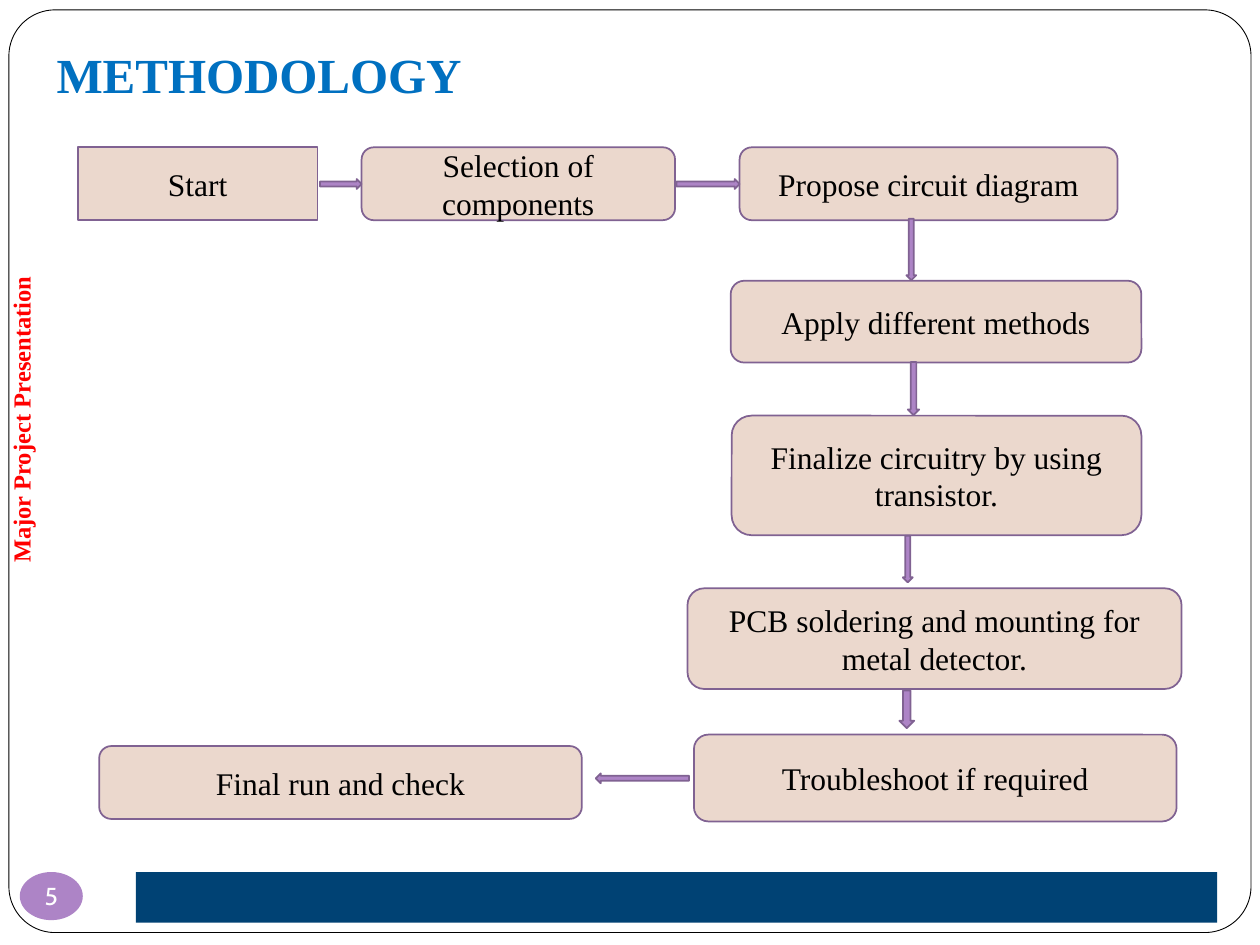
from pptx import Presentation
from pptx.dml.color import RGBColor
from pptx.enum.shapes import MSO_SHAPE
from pptx.enum.text import MSO_ANCHOR, PP_ALIGN
from pptx.util import Cm, Pt

WHITE = RGBColor(0xFF, 0xFF, 0xFF)
BLACK = RGBColor(0x00, 0x00, 0x00)
RED = RGBColor(0xFF, 0x00, 0x00)
BLUE = RGBColor(0x00, 0x70, 0xC0)
NAVY = RGBColor(0x00, 0x42, 0x74)
SAND = RGBColor(0xEB, 0xD8, 0xCD)
PURPLE = RGBColor(0xAD, 0x84, 0xC6)
PLUM = RGBColor(0x80, 0x62, 0x92)

SERIF = "Times New Roman"
TITLE_FONT = {"name": SERIF, "size": Pt(28), "bold": True}
SIDE_FONT = {"name": SERIF, "size": Pt(14), "bold": True}
STEP_FONT = {"name": SERIF, "size": Pt(18)}
NUMBER_FONT = {"name": "Cabin", "size": Pt(14)}

STEPS = [
    ("Start", MSO_SHAPE.RECTANGLE, (0, 0, 4.83, 1.47)),
    ("Selection of components", MSO_SHAPE.ROUNDED_RECTANGLE, (5.72, 0, 6.32, 1.47)),
    ("Propose circuit diagram", MSO_SHAPE.ROUNDED_RECTANGLE, (13.34, 0, 7.62, 1.47)),
    ("Apply different methods", MSO_SHAPE.ROUNDED_RECTANGLE, (13.16, 2.69, 8.28, 1.65)),
    ("Finalize circuitry by using transistor.", MSO_SHAPE.ROUNDED_RECTANGLE,
     (13.18, 5.41, 8.26, 2.41)),
    ("PCB soldering and mounting for metal detector.", MSO_SHAPE.ROUNDED_RECTANGLE,
     (12.29, 8.89, 9.96, 2.03)),
    ("Troubleshoot if required", MSO_SHAPE.ROUNDED_RECTANGLE, (12.42, 11.84, 9.73, 1.75)),
    ("Final run and check", MSO_SHAPE.ROUNDED_RECTANGLE, (0.43, 12.07, 9.73, 1.47)),
]
ARROWS = [
    (0, (4.88, 0.64, 0.84, 0.2)),
    (0, (12.07, 0.64, 1.27, 0.2)),
    (90, (16.18, 1.96, 1.24, 0.2)),
    (90, (16.31, 4.75, 1.07, 0.23)),
    (90, (16.26, 8.2, 0.94, 0.2)),
    (90, (16.33, 11.18, 0.76, 0.3)),
    (180, (10.44, 12.62, 1.88, 0.2)),
]


def write(shape, text, font, color, align=PP_ALIGN.CENTER, anchor=MSO_ANCHOR.MIDDLE):
    """Put one formatted paragraph into a shape."""
    frame = shape.text_frame
    frame.word_wrap = True
    frame.vertical_anchor = anchor
    para = frame.paragraphs[0]
    para.alignment = align
    span = para.add_run()
    span.text = text
    for key, value in font.items():
        setattr(span.font, key, value)
    span.font.color.rgb = color


def add_block(page, kind, box, fill, line=None, width=1):
    """Add a flat preset shape at a box given in centimetres."""
    shape = page.shapes.add_shape(kind, *map(Cm, box))
    shape.shadow.inherit = False
    shape.fill.solid()
    shape.fill.fore_color.rgb = fill
    if line is None:
        shape.line.fill.background()
    else:
        shape.line.color.rgb = line
        shape.line.width = Pt(width)
    return shape


def add_frame(page, box):
    """Draw the page border, the side label and the footer bar."""
    left, top, width, height = box
    border = add_block(page, MSO_SHAPE.ROUNDED_RECTANGLE, box, WHITE, BLACK, 0.5)
    border.adjustments[0] = 0.05
    label = page.shapes.add_textbox(
        *map(Cm, (left - 3.56, top + 7.83, 7.62, 0.86)))
    label.rotation = 270
    write(label, "Major Project Presentation", SIDE_FONT, RED, anchor=MSO_ANCHOR.TOP)
    add_block(page, MSO_SHAPE.RECTANGLE,
              (left + 2.56, top + height - 1.22, width - 3.24, 1.02), NAVY)


def add_title(page, box):
    """Place the title placeholder in front of the frame."""
    title = page.shapes.title
    title.left, title.top, title.width, title.height = map(Cm, box)
    title.text_frame.margin_left = Cm(0.5)
    write(title, "METHODOLOGY", TITLE_FONT, BLUE, PP_ALIGN.LEFT, MSO_ANCHOR.TOP)
    title.element.getparent().append(title.element)


def add_number(page, box):
    """Draw the page number badge."""
    badge = add_block(page, MSO_SHAPE.OVAL, box, PURPLE)
    for side in ("left", "top", "right", "bottom"):
        setattr(badge.text_frame, f"margin_{side}", 0)
    write(badge, "5", NUMBER_FONT, WHITE)


def add_flow(page, box):
    """Draw the flow chart steps and the arrows between them."""
    left, top = box[:2]
    for text, kind, (x, y, width, height) in STEPS:
        step = add_block(page, kind, (left + x, top + y, width, height), SAND, PLUM)
        write(step, text, STEP_FONT, BLACK)
    for angle, (x, y, width, height) in ARROWS:
        arrow = add_block(page, MSO_SHAPE.RIGHT_ARROW,
                          (left + x, top + y, width, height), PURPLE, PLUM)
        arrow.rotation = angle


def main():
    """Build the methodology slide and save it."""
    deck = Presentation()
    deck.slide_width, deck.slide_height = Cm(25.4), Cm(19.05)
    page = deck.slides.add_slide(deck.slide_layouts[5])
    add_frame(page, (0.18, 0.2, 25.04, 18.6))
    add_title(page, (0.64, 0.76, 22.86, 1.78))
    add_number(page, (0.4, 17.58, 1.27, 0.97))
    add_flow(page, (1.57, 2.97, 22.25, 13.59))
    deck.save("out.pptx")


if __name__ == "__main__":
    main()
